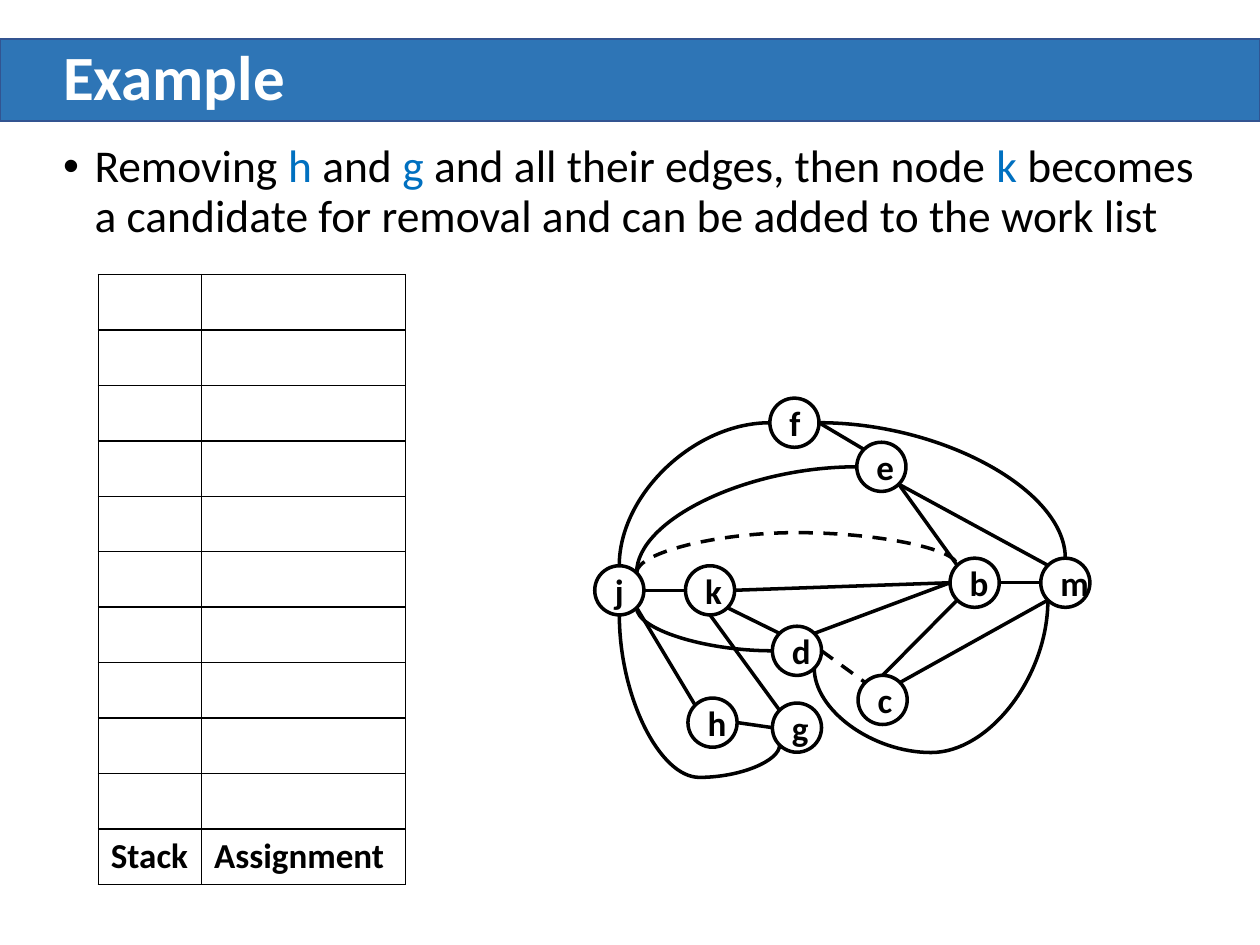
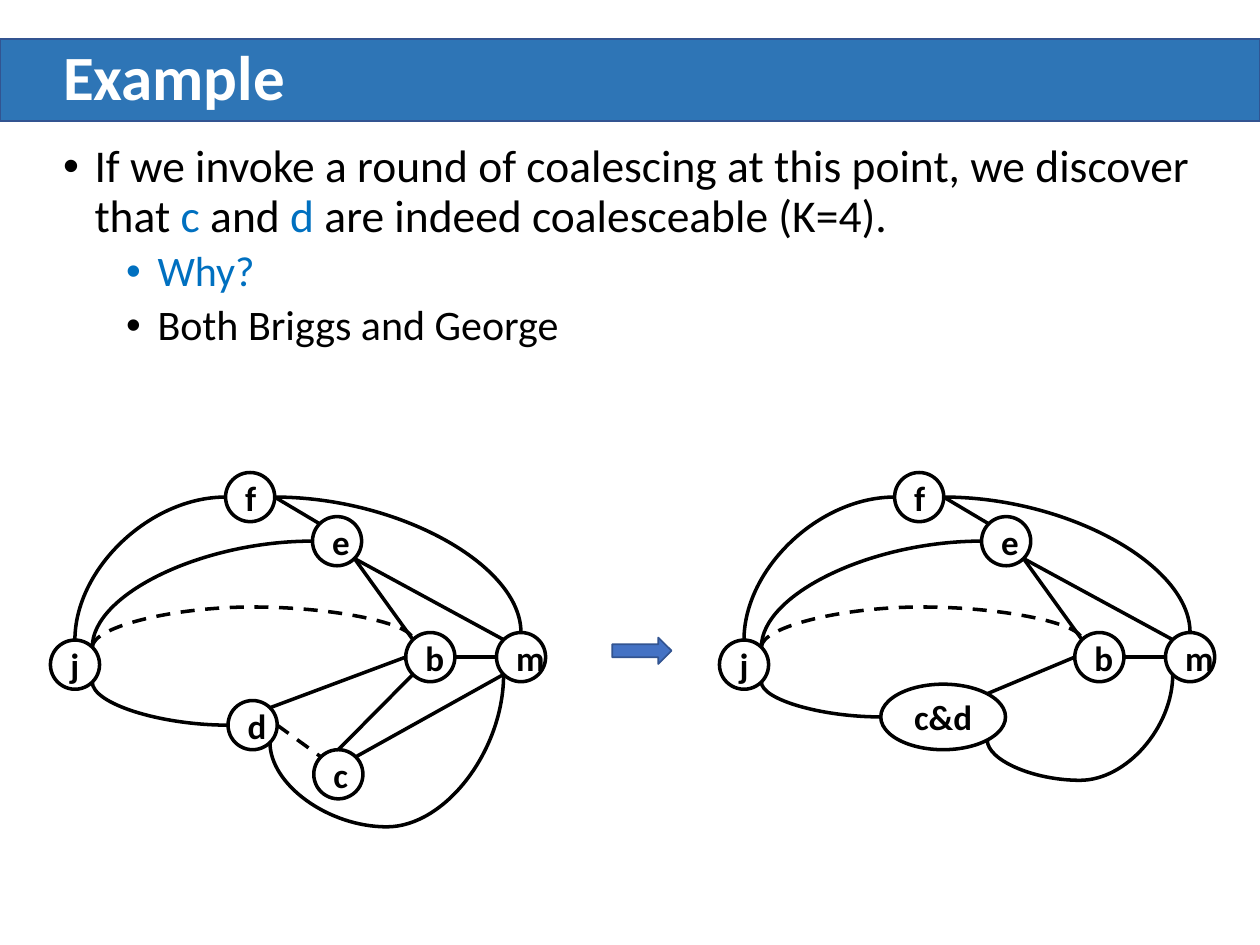
import math
from dataclasses import dataclass

import pptx
import pptx.util
import pptx.dml.color
import pptx.enum.dml
import pptx.enum.shapes
import pptx.enum.text
import pptx.oxml.ns
from lxml import etree

Inches, Pt = pptx.util.Inches, pptx.util.Pt
RGB = pptx.dml.color.RGBColor.from_string
qn = pptx.oxml.ns.qn
SHAPE = pptx.enum.shapes.MSO_SHAPE
CONNECTOR = pptx.enum.shapes.MSO_CONNECTOR


@dataclass(frozen=True)
class Theme:
    font: str = "Calibri"
    band: str = "2E75B6"
    outline: str = "325491"
    arrow: str = "4472C4"
    accent: str = "0070C0"
    ink: str = "000000"
    paper: str = "FFFFFF"
    title_size: int = 36
    body_sizes: tuple = (26, 24)
    label_size: int = 20
    stroke: float = 2


theme = Theme()

# Interference graph: node -> left, top, width, height, label
NODE = 0.39
nodes = {
    name: (x, y, NODE, NODE, name)
    for name, x, y in [
        ("m", 8.26, 4.43), ("f", 6.11, 3.16), ("e", 6.8, 3.51), ("b", 7.54, 4.43),
        ("c", 6.81, 5.36), ("d", 6.13, 4.97), ("k", 5.44, 4.49), ("j", 4.72, 4.49),
        ("h", 5.46, 5.54), ("g", 6.13, 5.58),
    ]
}
without_hgk = {name: box for name, box in nodes.items() if name not in "hgk"}
coalesced = {name: box for name, box in without_hgk.items() if name != "c"}
coalesced["d"] = (6.0, 4.84, 0.99, 0.52, "c&d")

# Edges: from, site, to, site, route. Sites run anticlockwise from 0 at the top.
# "across" leaves sideways, "upright" leaves vertically, "bow" is a vertical U.
edges = [
    ("f", 2, "j", 0, "across"), ("f", 6, "m", 0, "across"),
    ("j", 7, "e", 2, "upright"), ("j", 5, "d", 2, "upright"),
    ("j", 4, "g", 3, "bow"), ("d", 5, "m", 3, "bow"),
    ("d", 7, "b", 2, "line"), ("c", 7, "m", 3, "line"), ("c", 0, "b", 3, "line"),
    ("k", 5, "d", 1, "line"), ("j", 6, "k", 2, "line"), ("k", 6, "b", 2, "line"),
    ("e", 5, "b", 1, "line"), ("f", 6, "e", 1, "line"), ("e", 5, "m", 1, "line"),
    ("h", 6, "g", 2, "line"), ("j", 5, "h", 1, "line"), ("k", 4, "g", 1, "line"),
    ("b", 6, "m", 2, "line"), ("j", 7, "b", 1, "bow"), ("d", 6, "c", 1, "line"),
]
moves = {("j", "b"), ("d", "c")}  # drawn dashed
bow_depths = {("j", "g"): 1.29, ("d", "m"): 0.67, ("j", "b"): -0.32}


def start_slide(title, paragraphs):
    s = prs.slides.add_slide(prs.slide_layouts[1])

    # Title band, behind the placeholders
    band = s.shapes.add_shape(SHAPE.RECTANGLE, 0, Inches(0.31), prs.slide_width, Inches(0.65))
    band.shadow.inherit = False
    band.fill.solid()
    band.fill.fore_color.rgb = RGB(theme.band)
    band.line.color.rgb = RGB(theme.outline)
    band.line.width = Pt(1)
    s.shapes._spTree.insert(2, band._element)

    # Placeholders
    body = s.placeholders[1]
    for sp, top, height in [(s.shapes.title, 0.31, 0.65), (body, 1.09, 5.66)]:
        sp.left, sp.top = Inches(0.4), Inches(top)
        sp.width, sp.height = Inches(9.24), Inches(height)
        sp.text_frame.auto_size = pptx.enum.text.MSO_AUTO_SIZE.NONE
    tf = s.shapes.title.text_frame
    tf.text = title
    tf.vertical_anchor = pptx.enum.text.MSO_ANCHOR.MIDDLE
    p = tf.paragraphs[0]
    p.alignment = pptx.enum.text.PP_ALIGN.LEFT
    p.line_spacing = 0.9
    font = p.runs[0].font
    font.name, font.size, font.bold = theme.font, Pt(theme.title_size), True
    font.color.rgb = RGB(theme.paper)

    # Bulleted text: level, then runs of (text, colour)
    tf = body.text_frame
    for i, (level, runs) in enumerate(paragraphs):
        p = tf.paragraphs[0] if i == 0 else tf.add_paragraph()
        p.level = level
        p.line_spacing = 0.9
        p.space_before = Pt(5 if i else 0)
        pPr = p._p.get_or_add_pPr()
        pPr.set("marL", str(Inches(0.25 + 0.5 * level)))
        pPr.set("indent", str(Inches(-0.25)))
        etree.SubElement(pPr, qn("a:buFont"), typeface="Arial")
        etree.SubElement(pPr, qn("a:buChar"), char="•")
        for text, color in runs:
            r = p.add_run()
            r.text = text
            r.font.name, r.font.size = theme.font, Pt(theme.body_sizes[level])
            r.font.color.rgb = RGB(color)
    return s


def draw_graph(shapes, graph, dx=0, dy=0, depths=bow_depths):
    # Nodes
    ovals = {}
    for name, (x, y, w, h, label) in graph.items():
        sp = shapes.add_shape(SHAPE.OVAL, Inches(x + dx), Inches(y + dy), Inches(w), Inches(h))
        sp.shadow.inherit = False
        sp.fill.solid()
        sp.fill.fore_color.rgb = RGB(theme.paper)
        sp.line.color.rgb = RGB(theme.ink)
        sp.line.width = Pt(theme.stroke)
        sp.text_frame.text = label
        p = sp.text_frame.paragraphs[0]
        p.alignment = pptx.enum.text.PP_ALIGN.CENTER
        font = p.runs[0].font
        font.name, font.size, font.bold = theme.font, Pt(theme.label_size), True
        font.color.rgb = RGB(theme.ink)
        ovals[name] = sp

    # Edges whose two ends are both present
    for start, start_site, end, end_site, route in edges:
        if start not in graph or end not in graph:
            continue
        points = []
        for name, site in [(start, start_site), (end, end_site)]:
            x, y, w, h, _ = graph[name]
            turn = math.radians(45 * site)
            points += [Inches(x + dx + w / 2 * (1 - math.sin(turn))),
                       Inches(y + dy + h / 2 * (1 - math.cos(turn)))]
        kind = CONNECTOR.STRAIGHT if route == "line" else CONNECTOR.CURVE
        cxn = shapes.add_connector(kind, *points)
        cxn.line.color.rgb = RGB(theme.ink)
        cxn.line.width = Pt(theme.stroke)
        if (start, end) in moves:
            cxn.line.dash_style = pptx.enum.dml.MSO_LINE.DASH
        spPr = cxn._element.spPr
        etree.SubElement(spPr, qn("a:effectLst"))

        # Glue both ends to the ovals
        joints = cxn._element.find(qn("p:nvCxnSpPr")).find(qn("p:cNvCxnSpPr"))
        for tag, name, site in [("a:stCxn", start, start_site), ("a:endCxn", end, end_site)]:
            etree.SubElement(joints, qn(tag), id=str(ovals[name].shape_id), idx=str(site))

        # Curve form; upright starts are a quarter turn of the sideways form
        geom = spPr.find(qn("a:prstGeom"))
        if route in ("across", "upright"):
            geom.set("prst", "curvedConnector2")
        if route in ("upright", "bow"):
            x1, y1, x2, y2 = points
            w, h = abs(y2 - y1), abs(x2 - x1)
            cxn.left, cxn.top = (x1 + x2 - w) // 2, (y1 + y2 - h) // 2
            cxn.width, cxn.height = w, h
            xfrm = spPr.find(qn("a:xfrm"))
            xfrm.set("rot", str((270 if y2 > y1 else 90) * 60000))
            xfrm.set("flipH", "1")
            xfrm.set("flipV", "0" if y2 > y1 else "1")
        if route == "bow":
            bend = round(Inches(depths[start, end]) / (y2 - y1) * 100000)
            avLst = geom.find(qn("a:avLst"))
            if avLst is None:
                avLst = etree.SubElement(geom, qn("a:avLst"))
            etree.SubElement(avLst, qn("a:gd"), name="adj1", fmla=f"val {bend}")


prs = pptx.Presentation()
prs.slide_width, prs.slide_height = Inches(10), Inches(7.5)
ink, accent = theme.ink, theme.accent

# Slide 1: removing h and g
s = start_slide("Example", [
    (0, [("Removing ", ink), ("h ", accent), ("and ", ink), ("g ", accent),
         ("and all their edges, then node ", ink), ("k ", accent),
         ("becomes a candidate for removal and can be added to the work list", ink)]),
])

# Stack table, filled from the bottom
ROWS, ROW_HEIGHT = 11, 0.44
table = s.shapes.add_table(ROWS, 2, Inches(0.78), Inches(2.18),
                           Inches(2.44), Inches(ROWS * ROW_HEIGHT)).table
table.first_row = table.horz_banding = False
for column, width in zip(table.columns, (0.82, 1.62)):
    column.width = Inches(width)
for row in table.rows:
    row.height = Inches(ROW_HEIGHT)
for cell in table.iter_cells():
    tcPr = cell._tc.get_or_add_tcPr()
    for side in ("lnL", "lnR", "lnT", "lnB"):
        ln = etree.SubElement(tcPr, qn("a:" + side), w=str(Pt(1)))
        fill = etree.SubElement(ln, qn("a:solidFill"))
        etree.SubElement(fill, qn("a:srgbClr"), val=theme.ink)
    cell.fill.background()
for i, label in enumerate(("Stack", "Assignment")):
    cell = table.cell(ROWS - 1, i)
    cell.text_frame.text = label
    font = cell.text_frame.paragraphs[0].runs[0].font
    font.name, font.size, font.bold = theme.font, Pt(theme.label_size), True
    font.color.rgb = RGB(theme.ink)

draw_graph(s.shapes, nodes)

# Slide 2: coalescing c and d
s = start_slide("Example", [
    (0, [("If we invoke a round of coalescing at this point, we discover that ", ink),
         ("c ", accent), ("and ", ink), ("d ", accent),
         ("are indeed coalesceable (K=4).", ink)]),
    (1, [("Why?", accent)]),
    (1, [("Both Briggs and George", ink)]),
])
draw_graph(s.shapes.add_group_shape().shapes, without_hgk, -4.32, 0.59)
draw_graph(s.shapes.add_group_shape().shapes, coalesced, 0.99, 0.59,
           {**bow_depths, ("d", "m"): 0.32})

# Arrow from the first graph to the second
arrow = s.shapes.add_shape(SHAPE.RIGHT_ARROW, Inches(4.86), Inches(5.06),
                           Inches(0.47), Inches(0.21))
arrow.shadow.inherit = False
arrow.fill.solid()
arrow.fill.fore_color.rgb = RGB(theme.arrow)
arrow.line.color.rgb = RGB(theme.outline)
arrow.line.width = Pt(1)

prs.save("out.pptx")
